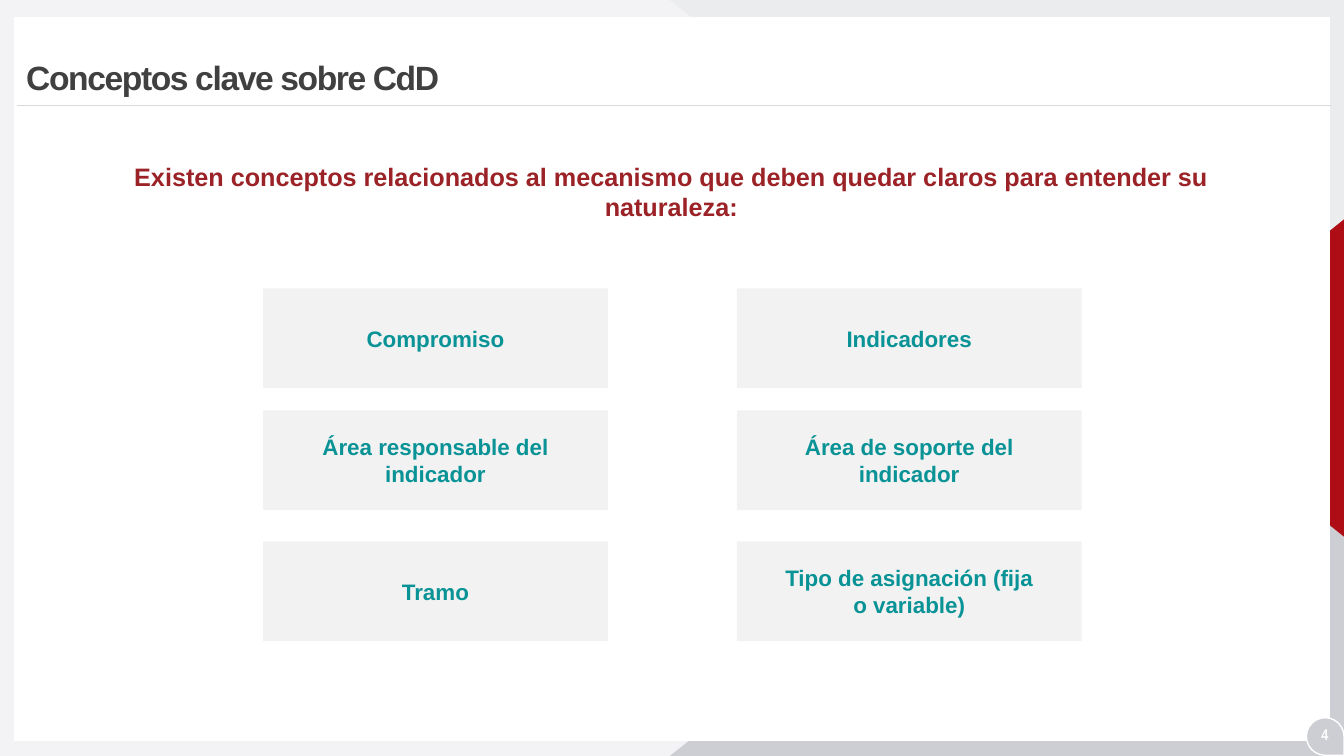
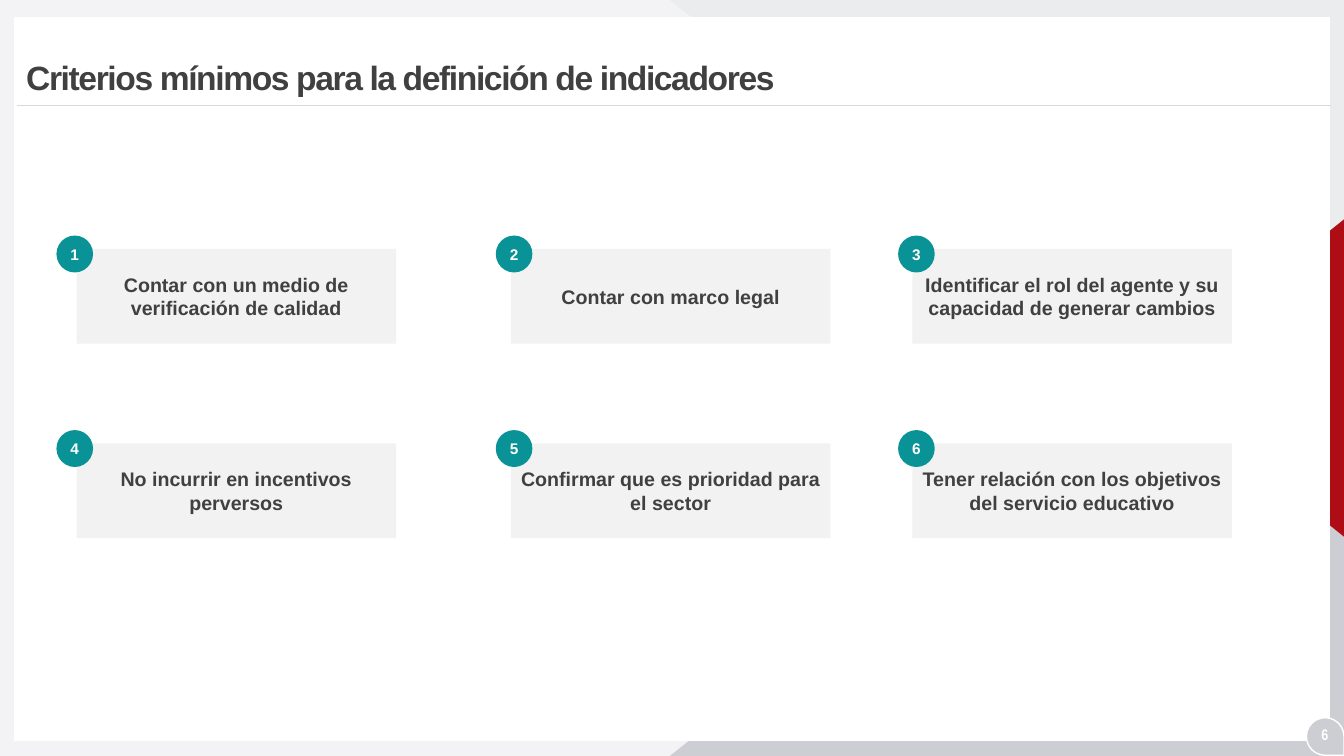
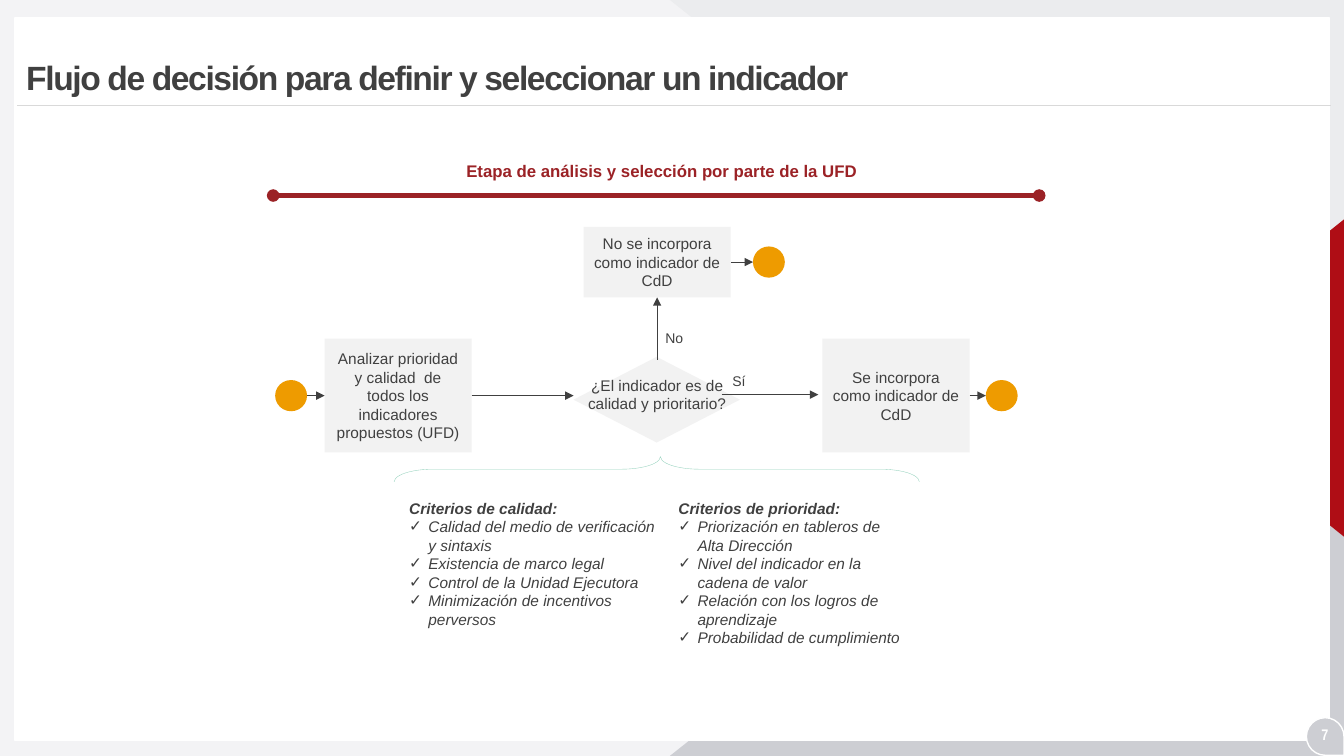
import dataclasses
import itertools

import lxml.etree
import pptx
import pptx.dml.color
import pptx.enum.shapes
import pptx.enum.text
import pptx.oxml.ns
import pptx.util

SHAPES = pptx.enum.shapes.MSO_SHAPE
ALIGN = pptx.enum.text.PP_ALIGN
ANCHOR = pptx.enum.text.MSO_ANCHOR
CELL = pptx.util.Inches(1 / 12)


@dataclasses.dataclass(frozen=True)
class Theme:
    white: str = "FFFFFF"
    page: str = "F3F3F5"
    pale: str = "EBECEE"
    silver: str = "CDCED3"
    accent: str = "AF0D15"
    rule: str = "D9D9D9"
    card: str = "F2F2F2"
    ink: str = "404040"
    teal: str = "0A9396"
    mint: str = "94D2BD"
    wine: str = "9B2226"
    amber: str = "EE9B00"

    def text(self, size, color, **values):
        font = {"name": "Arial", "size": pptx.util.Pt(size), "bold": False, **values}
        return font, color


THEME = Theme()
TITLE = THEME.text(24, THEME.ink, bold=True)
LEAD = THEME.text(18, THEME.wine, bold=True)
CONCEPT = THEME.text(16, THEME.teal, bold=True)
CRITERION = THEME.text(14, THEME.ink, bold=True)
STAGE = THEME.text(12, THEME.wine, bold=True)
STEP = THEME.text(11, THEME.ink)
BRANCH = THEME.text(10, THEME.ink)
BADGE = THEME.text(11, THEME.white, bold=True)
PAGE_NUMBER = THEME.text(11, THEME.white, bold=True, name="Arial Narrow")
LIST_HEAD = THEME.text(11, THEME.ink, bold=True, italic=True)
LIST_ITEM = THEME.text(11, THEME.ink, italic=True)


@dataclasses.dataclass(frozen=True)
class Box:
    left: float
    top: float
    width: float
    height: float

    @property
    def right(self):
        return self.left + self.width

    @property
    def bottom(self):
        return self.top + self.height

    @property
    def center(self):
        return self.left + self.width / 2

    @property
    def middle(self):
        return self.top + self.height / 2

    def inner(self, left, top, width, height):
        return Box(self.left + left, self.top + top, width, height)

    def lengths(self):
        return [cells(value) for value in dataclasses.astuple(self)]


PAGE = Box(0, 0, 160, 90)


def cells(count):
    return int(count * CELL)


def rgb(color):
    return pptx.dml.color.RGBColor.from_string(color)


def assign(target, values):
    for name, value in values.items():
        setattr(target, name, value)


def add_xml(parent, tag, **attributes):
    return lxml.etree.SubElement(parent, pptx.oxml.ns.qn(tag), attributes)


def write(frame, text, style, align=ALIGN.CENTER, anchor=ANCHOR.MIDDLE, **margins):
    assign(frame, {"word_wrap": True, "vertical_anchor": anchor, **margins})
    return write_paragraph(frame.paragraphs[0], text, style, align)


def write_paragraph(paragraph, text, style, align):
    font, color = style
    assign(paragraph, {"alignment": align, "space_before": pptx.util.Pt(0)})
    run = paragraph.add_run()
    run.text = text
    assign(run.font, font)
    run.font.color.rgb = rgb(color)
    return run


def draw(slide, kind, box, fill=None, line=None, width=1, rotation=0, adjustments=()):
    shape = slide.shapes.add_shape(kind, *box.lengths())
    shape.shadow.inherit = False
    shape.rotation = rotation
    for index, value in enumerate(adjustments):
        shape.adjustments[index] = value
    if fill:
        shape.fill.solid()
        shape.fill.fore_color.rgb = rgb(fill)
    else:
        shape.fill.background()
    if line:
        shape.line.color.rgb = rgb(line)
        shape.line.width = pptx.util.Pt(width)
    else:
        shape.line.fill.background()
    return shape


def label(slide, box, text, style, **layout):
    shape = slide.shapes.add_textbox(*box.lengths())
    write(shape.text_frame, text, style, **layout)


def connect(slide, points, color, width, **ends):
    connector = slide.shapes.add_connector(
        pptx.enum.shapes.MSO_CONNECTOR.STRAIGHT, *map(cells, points)
    )
    connector.line.color.rgb = rgb(color)
    connector.line.width = pptx.util.Pt(width)
    properties = connector.element.spPr
    outline = properties.find(pptx.oxml.ns.qn("a:ln"))
    for end, kind in ends.items():
        add_xml(outline, f"a:{end}", type=kind)
    add_xml(properties, "a:effectLst")
    return connector


def master_frame(presentation, slide, box):
    backdrop = draw(slide, SHAPES.RECTANGLE, box, THEME.page)
    top_band = draw(slide, SHAPES.ISOSCELES_TRIANGLE, box.inner(79.75, 0, 80.25, 63.75),
                    THEME.pale, adjustments=[1])
    top_band.element.spPr.find(pptx.oxml.ns.qn("a:xfrm")).set("flipV", "1")
    frame_shapes = [
        backdrop,
        top_band,
        draw(slide, SHAPES.ISOSCELES_TRIANGLE, box.inner(79.75, 26.25, 80.25, 63.75),
             THEME.silver, adjustments=[1]),
        draw(slide, SHAPES.ISOSCELES_TRIANGLE, box.inner(129.36, 33.24, 37.8, 23.52),
             THEME.accent, rotation=270),
        draw(slide, SHAPES.RECTANGLE, box.inner(1.8, 2.16, 156.48, 86.04),
             THEME.white, THEME.white),
        draw(slide, SHAPES.TEAR, box.inner(155.52, 85.44, 4.48, 4.48),
             THEME.silver, THEME.white, rotation=90),
        connect(slide, (158.4, 12.5, 2.04, 12.5), THEME.rule, 0.5),
    ]
    for index, shape in enumerate(frame_shapes):
        shape.element.xpath(".//p:cNvPr")[0].set("id", str(100 + index))
        presentation.slide_master.shapes.element.insert(2 + index, shape.element)


def heading(slide, box, title, number):
    shape = slide.shapes.title
    left, top, width, height = box.inner(1.92, 4.56, 151.44, 9.12).lengths()
    assign(shape, {"left": left, "top": top, "width": width, "height": height})
    shape.text_frame.auto_size = pptx.enum.text.MSO_AUTO_SIZE.NONE
    run = write(shape.text_frame, title, TITLE, ALIGN.LEFT)
    run._r.get_or_add_rPr().set("spc", "-100")
    label(slide, box.inner(155.16, 86.28, 5.16, 2.4), str(number), PAGE_NUMBER)


def concept_cards(slide, box, names):
    inset = pptx.util.Inches(0.41)
    corners = itertools.product((0, 14.52, 30.12), (0, 56.4))
    for (top, left), name in zip(corners, names):
        card = draw(slide, SHAPES.RECTANGLE, box.inner(left, top, 41.04, 11.88), THEME.card)
        write(card.text_frame, name, CONCEPT, margin_left=inset, margin_right=inset)


def criterion_cards(slide, box, names):
    columns = ((0, -2.4), (51.7, 49.9), (99.5, 97.8))
    places = itertools.product((0, 23.16), columns)
    for number, ((top, (left, badge_left)), name) in enumerate(zip(places, names), 1):
        card = draw(slide, SHAPES.RECTANGLE, box.inner(left, top, 38.04, 11.28), THEME.card)
        write(card.text_frame, name, CRITERION)
        badge = draw(slide, SHAPES.OVAL, box.inner(badge_left, top - 1.6, 4.36, 4.4), THEME.teal)
        write(badge.text_frame, str(number), BADGE, margin_left=0, margin_right=0)


def stage_bar(slide, box, text):
    label(slide, box.inner(19.7, 0, 53.16, 3.6), text, STAGE)
    connect(slide, (box.left, box.bottom, box.right, box.bottom), THEME.wine, 3,
            headEnd="oval", tailEnd="oval")


def decision_flow(slide, box):
    start, accepted, rejected = [
        box.inner(left, top, 3.8, 3.72) for left, top in ((0, 18.24), (84.6, 18.24), (56.88, 2.34))
    ]
    for terminal in (start, accepted, rejected):
        draw(slide, SHAPES.OVAL, terminal, THEME.amber)

    analyse = box.inner(5.88, 13.32, 17.52, 13.56)
    accept = box.inner(65.16, 13.32, 17.52, 13.56)
    reject = box.inner(36.72, 0, 17.52, 8.4)
    steps = {
        analyse: "Analizar prioridad y calidad  de todos los indicadores propuestos (UFD)",
        accept: "Se incorpora como indicador de CdD",
        reject: "No se incorpora como indicador de CdD",
    }
    for step, text in steps.items():
        shape = draw(slide, SHAPES.RECTANGLE, step, THEME.card)
        write(shape.text_frame, text, STEP)

    decision = box.inner(35.52, 15.48, 19.8, 10.2)
    draw(slide, SHAPES.FLOWCHART_DECISION, decision, THEME.card)
    label(slide, decision.inner(-1.68, 1.68, 23.28, 6.84),
          "¿El indicador es de calidad y prioritario?", STEP, anchor=ANCHOR.TOP)
    label(slide, decision.inner(16.8, 1.32, 5.76, 3.24), "Sí", BRANCH, anchor=ANCHOR.TOP)
    label(slide, decision.inner(9.12, -3.84, 5.76, 3.24), "No", BRANCH, anchor=ANCHOR.TOP)

    level = analyse.middle
    arrows = (
        (start.right, level, analyse.left, level),
        (analyse.right, level, decision.left, level),
        (decision.right - 2.16, level - 0.12, accept.left - 0.5, level - 0.12),
        (accept.right, level, accepted.left, level),
        (reject.right, reject.middle, rejected.left, reject.middle),
        (reject.center, decision.top + 0.36, reject.center, reject.bottom),
    )
    for arrow in arrows:
        connect(slide, arrow, THEME.ink, 0.5, tailEnd="triangle")


def check_list(placeholder, box, head, items):
    left, top, width, height = box.lengths()
    assign(placeholder, {"left": left, "top": top, "width": width, "height": height})
    frame = placeholder.text_frame
    frame.auto_size = pptx.enum.text.MSO_AUTO_SIZE.NONE
    write(frame, head, LIST_HEAD, ALIGN.LEFT, ANCHOR.TOP)
    for item in items:
        write_paragraph(frame.add_paragraph(), item, LIST_ITEM, ALIGN.LEFT)
    hanging = pptx.util.Inches(0.19)
    for index, paragraph in enumerate(frame.paragraphs):
        properties = paragraph._p.get_or_add_pPr()
        indent = hanging if index else 0
        properties.set("marL", str(int(indent)))
        properties.set("indent", str(-int(indent)))
        if index:
            add_xml(properties, "a:buFont", typeface="Arial")
            add_xml(properties, "a:buChar", char="✓")
        else:
            add_xml(properties, "a:buNone")


def criteria_lists(slide, box, lists):
    draw(slide, SHAPES.LEFT_BRACE, box.inner(29.76, -29.76, 3, 62.52), line=THEME.mint,
         width=0.25, rotation=90, adjustments=(1.54, 0.493))
    areas = (box.inner(0.6, 4.44, 32.76, 16.8), box.inner(32.64, 4.44, 29.88, 18.96))
    for placeholder, area, (head, items) in zip(list(slide.placeholders)[1:], areas, lists):
        check_list(placeholder, area, head, items)


def concepts_slide(slide):
    heading(slide, PAGE, "Conceptos clave sobre CdD", 4)
    label(slide, PAGE.inner(9.72, 19.2, 140.4, 7.08),
          "Existen conceptos relacionados al mecanismo que deben quedar claros "
          "para entender su naturaleza:", LEAD)
    concept_cards(slide, PAGE.inner(31.32, 34.32, 97.44, 42), (
        "Compromiso",
        "Indicadores",
        "Área responsable del indicador",
        "Área de soporte del indicador",
        "Tramo",
        "Tipo de asignación (fija o variable)",
    ))


def criteria_slide(slide):
    heading(slide, PAGE, "Criterios mínimos para la definición de indicadores", 6)
    criterion_cards(slide, PAGE.inner(9.12, 29.64, 137.54, 34.44), (
        "Contar con un medio de verificación de calidad",
        "Contar con marco legal",
        "Identificar el rol del agente y su capacidad de generar cambios",
        "No incurrir en incentivos perversos",
        "Confirmar que es prioridad para el sector",
        "Tener relación con los objetivos del servicio educativo",
    ))


def flow_slide(slide):
    heading(slide, PAGE, "Flujo de decisión para definir y seleccionar un indicador", 7)
    stage_bar(slide, PAGE.inner(32.52, 18.48, 91.2, 4.8),
              "Etapa de análisis y selección por parte de la UFD")
    decision_flow(slide, PAGE.inner(32.76, 27, 88.4, 26.88))
    criteria_lists(slide, PAGE.inner(46.92, 54.36, 62.52, 23.4), (
        ("Criterios de calidad:", (
            "Calidad del medio de verificación y sintaxis",
            "Existencia de marco legal",
            "Control de la Unidad Ejecutora",
            "Minimización de incentivos perversos",
        )),
        ("Criterios de prioridad:", (
            "Priorización en tableros de Alta Dirección",
            "Nivel del indicador en la cadena de valor",
            "Relación con los logros de aprendizaje",
            "Probabilidad de cumplimiento",
        )),
    ))


def main():
    presentation = pptx.Presentation()
    presentation.slide_width = cells(PAGE.width)
    presentation.slide_height = cells(PAGE.height)
    two_content, title_only = (presentation.slide_layouts[index] for index in (3, 5))
    builders = ((concepts_slide, title_only), (criteria_slide, title_only),
                (flow_slide, two_content))
    slides = [presentation.slides.add_slide(layout) for _, layout in builders]
    master_frame(presentation, slides[0], PAGE)
    for (build, _), slide in zip(builders, slides):
        build(slide)
    presentation.save("out.pptx")


main()
